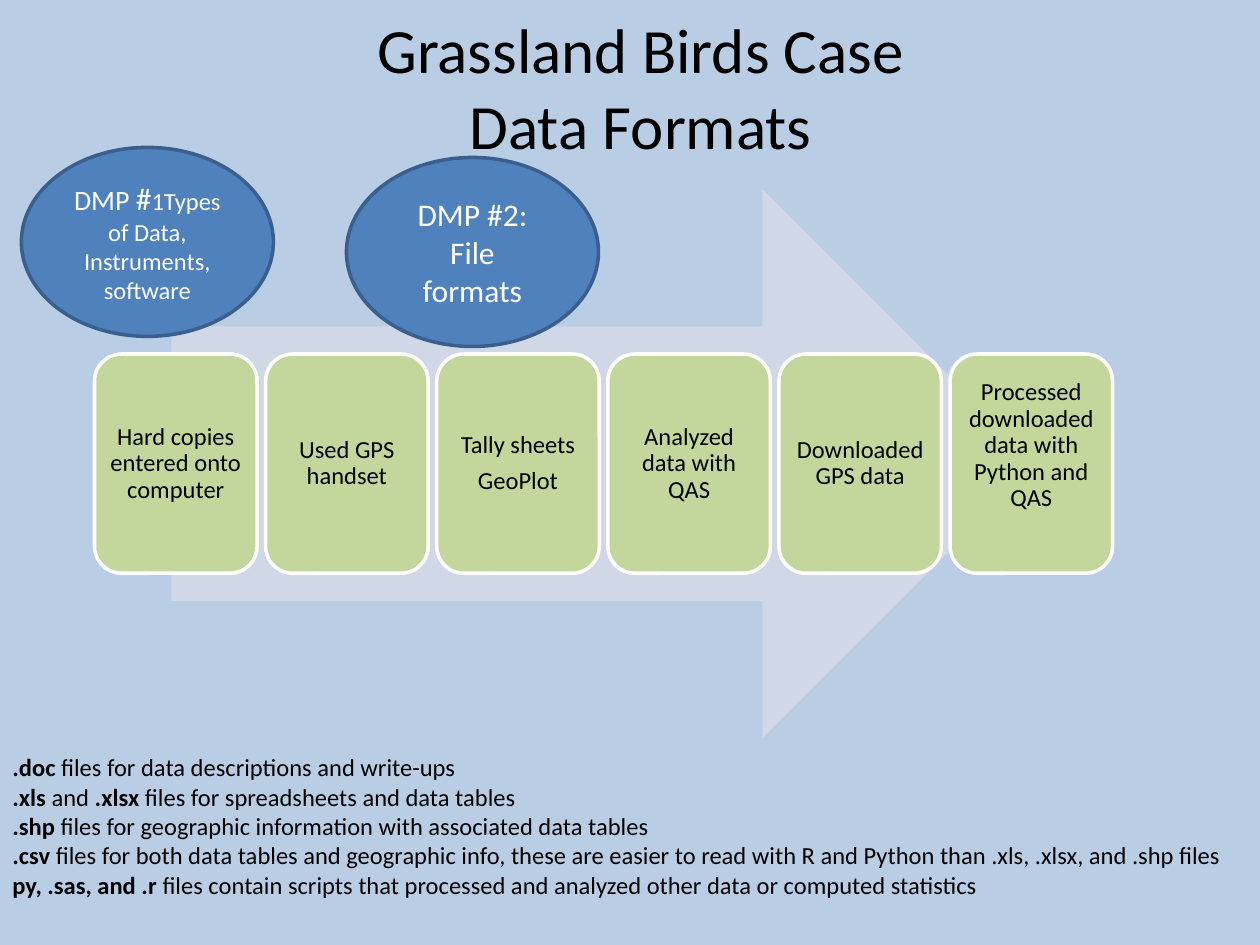
from pptx import Presentation
from pptx.dml.color import RGBColor
from pptx.enum.shapes import MSO_SHAPE
from pptx.enum.text import MSO_ANCHOR, PP_ALIGN
from pptx.util import Inches, Pt

# Content: each paragraph is a list of (text, format) spans
TITLE = [[("Grassland Birds Case\vData Formats", {})]]
STEPS = [
    ["Hard copies entered onto computer"],
    ["Used GPS handset"],
    ["Tally sheets", "GeoPlot"],
    ["Analyzed data with QAS"],
    ["Downloaded GPS data"],
    ["Processed downloaded data with Python and QAS"],
]
FILE_NOTES = [
    [(".doc ", True), ("files for data descriptions and write-ups", False)],
    [(".xls ", True), ("and ", False), (".xlsx ", True),
     ("files for spreadsheets and data tables", False)],
    [(".shp ", True),
     ("files for geographic information with associated data tables", False)],
    [(".csv ", True),
     ("files for both data tables and geographic info, these are easier to read "
      "with R and Python than .xls, .xlsx, and .shp files", False)],
    [("py, .sas, and .r ", True),
     ("files contain scripts that processed and analyzed other data or computed "
      "statistics", False)],
]
PLAN_BUBBLES = [
    (2.75, 1.25, [[("DMP #2:", {"size": 18})],
                  [("File\vformats", {"size": 18})]]),
    (0.17, 1.17, [[("DMP ", {"size": 16}), ("#", {"size": 18}),
                   ("1Types of Data,", {"size": 14})],
                  [("Instruments, software", {"size": 14})]]),
]

COLORS = {
    "background": "B9CDE5", "arrow": "D0D8E8", "step": "C3D69B",
    "bubble": "4F81BD", "bubble_line": "3A5F8C",
    "black": "000000", "white": "FFFFFF",
}
FONT = "Calibri"

# Layout in inches
SLIDE_WIDTH, SLIDE_HEIGHT = 10, 7.5
STEP_LEFT, STEP_RIGHT, STEP_TOP = 0.75, 8.83, 2.81
STEP_WIDTH, STEP_HEIGHT, STEP_INSET = 1.29, 1.74, 0.06
STEP_PITCH = (STEP_RIGHT - STEP_LEFT - STEP_WIDTH) / (len(STEPS) - 1)
LAST_STEP_LIFT = 0.28
BUBBLE_SIZE = (2, 1.5)


def color(name):
    return RGBColor.from_string(COLORS[name])


def write(shape, paragraphs, size=14, ink="black", align=PP_ALIGN.CENTER,
          anchor=MSO_ANCHOR.MIDDLE, line_spacing=None, space_after=None):
    frame = shape.text_frame
    frame.word_wrap = True
    frame.vertical_anchor = anchor
    for index, spans in enumerate(paragraphs):
        para = frame.paragraphs[0] if index == 0 else frame.add_paragraph()
        para.alignment = align
        para.line_spacing = line_spacing
        para.space_after = space_after
        for text, form in spans:
            for part, piece in enumerate(text.split("\v")):
                if part:
                    para.add_line_break()
                span = para.add_run()
                span.text = piece
                span.font.name = FONT
                span.font.size = Pt(form.get("size", size))
                span.font.bold = form.get("bold", False)
                span.font.color.rgb = color(ink)
    return frame


def add_box(page, *place):
    return page.shapes.add_textbox(*map(Inches, place))


def add_shape(page, kind, *place, fill, line=None):
    shape = page.shapes.add_shape(kind, *map(Inches, place))
    shape.shadow.inherit = False
    shape.fill.solid()
    shape.fill.fore_color.rgb = color(fill)
    if line:
        shape.line.color.rgb = color(line)
        shape.line.width = Pt(2)
    else:
        shape.line.fill.background()
    return shape


def main():
    deck = Presentation()
    deck.slide_width, deck.slide_height = Inches(SLIDE_WIDTH), Inches(SLIDE_HEIGHT)
    page = deck.slides.add_slide(deck.slide_layouts[6])
    page.background.fill.solid()
    page.background.fill.fore_color.rgb = color("background")

    # Title
    write(add_box(page, 0.17, 0.25, 9.83, 0.87), TITLE, size=36)

    # Process arrow with its steps
    add_shape(page, MSO_SHAPE.RIGHT_ARROW, 1.36, 1.5, 6.87, 4.36, fill="arrow")
    for index, lines in enumerate(STEPS):
        card = add_shape(page, MSO_SHAPE.ROUNDED_RECTANGLE,
                         STEP_LEFT + index * STEP_PITCH, STEP_TOP,
                         STEP_WIDTH, STEP_HEIGHT, fill="step", line="white")
        frame = write(card, [[(line, {})] for line in lines],
                      line_spacing=0.9, space_after=Pt(5))
        frame.margin_left = frame.margin_right = Inches(STEP_INSET)
        frame.margin_top = frame.margin_bottom = Inches(STEP_INSET)
    # The last step's text sits above the middle
    frame.margin_bottom = Inches(STEP_INSET + LAST_STEP_LIFT)

    # File format notes
    notes = [[(text, {"bold": bold}) for text, bold in spans] for spans in FILE_NOTES]
    write(add_box(page, 0, 5.92, SLIDE_WIDTH, SLIDE_HEIGHT - 5.92), notes,
          align=PP_ALIGN.LEFT, anchor=MSO_ANCHOR.TOP)

    # Data management plan bubbles
    for left, top, paragraphs in PLAN_BUBBLES:
        bubble = add_shape(page, MSO_SHAPE.OVAL, left, top, *BUBBLE_SIZE,
                           fill="bubble", line="bubble_line")
        write(bubble, paragraphs, ink="white")

    deck.save("out.pptx")


if __name__ == "__main__":
    main()
